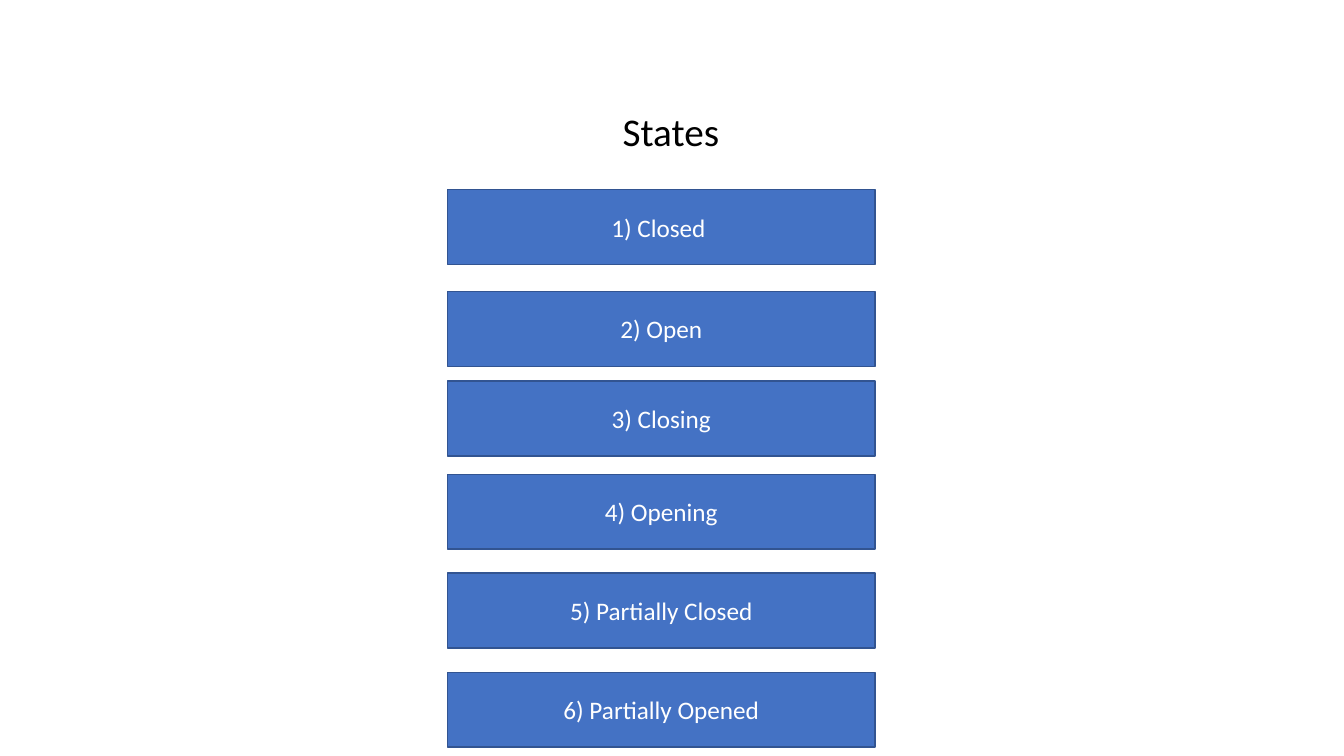
import pptx
import pptx.dml.color
import pptx.enum.shapes
import pptx.enum.text
import pptx.util
from pptx.util import Cm


def color(hex_string):
    return pptx.dml.color.RGBColor.from_string(hex_string)


class StateSlide:
    FONT = "Calibri"
    FILL = "4472C4"
    OUTLINE = "325491"

    def __init__(self, slide):
        self.slide = slide

    def style_runs(self, paragraph, size, hex_color):
        for run in paragraph.runs:
            run.font.name = self.FONT
            run.font.size = pptx.util.Pt(size)
            run.font.color.rgb = color(hex_color)

    def heading(self, text, left, top, width, height):
        box = self.slide.shapes.add_textbox(left, top, width, height)
        frame = box.text_frame
        frame.text = text
        frame.word_wrap = True
        frame.auto_size = pptx.enum.text.MSO_AUTO_SIZE.SHAPE_TO_FIT_TEXT
        self.style_runs(frame.paragraphs[0], 28, "000000")

    def state(self, text, left, top, width, height):
        bar = self.slide.shapes.add_shape(
            pptx.enum.shapes.MSO_SHAPE.RECTANGLE, left, top, width, height)
        bar.shadow.inherit = False
        bar.fill.solid()
        bar.fill.fore_color.rgb = color(self.FILL)
        bar.line.color.rgb = color(self.OUTLINE)
        bar.line.width = pptx.util.Pt(1)
        frame = bar.text_frame
        frame.text = text
        frame.vertical_anchor = pptx.enum.text.MSO_ANCHOR.MIDDLE
        label = frame.paragraphs[0]
        label.alignment = pptx.enum.text.PP_ALIGN.CENTER
        self.style_runs(label, 18, "FFFFFF")


def main():
    deck = pptx.Presentation()
    deck.slide_width, deck.slide_height = Cm(33.87), Cm(19.05)
    states = StateSlide(deck.slides.add_slide(deck.slide_layouts[6]))

    states.heading("States", Cm(15.44), Cm(2.59), Cm(3), Cm(1.45))

    # The vertical gaps between states are uneven, so each has its own top.
    state_tops = {
        "Closed ": 4.78,
        "Open": 7.34,
        "Closing": 9.6,
        "Opening": 11.95,
        "Partially Closed": 14.44,
        "Partially Opened": 16.94,
    }
    for number, (name, top) in enumerate(state_tops.items(), start=1):
        states.state(f"{number}) {name}", Cm(11.28), Cm(top), Cm(10.77), Cm(1.89))

    deck.save("out.pptx")


if __name__ == "__main__":
    main()
